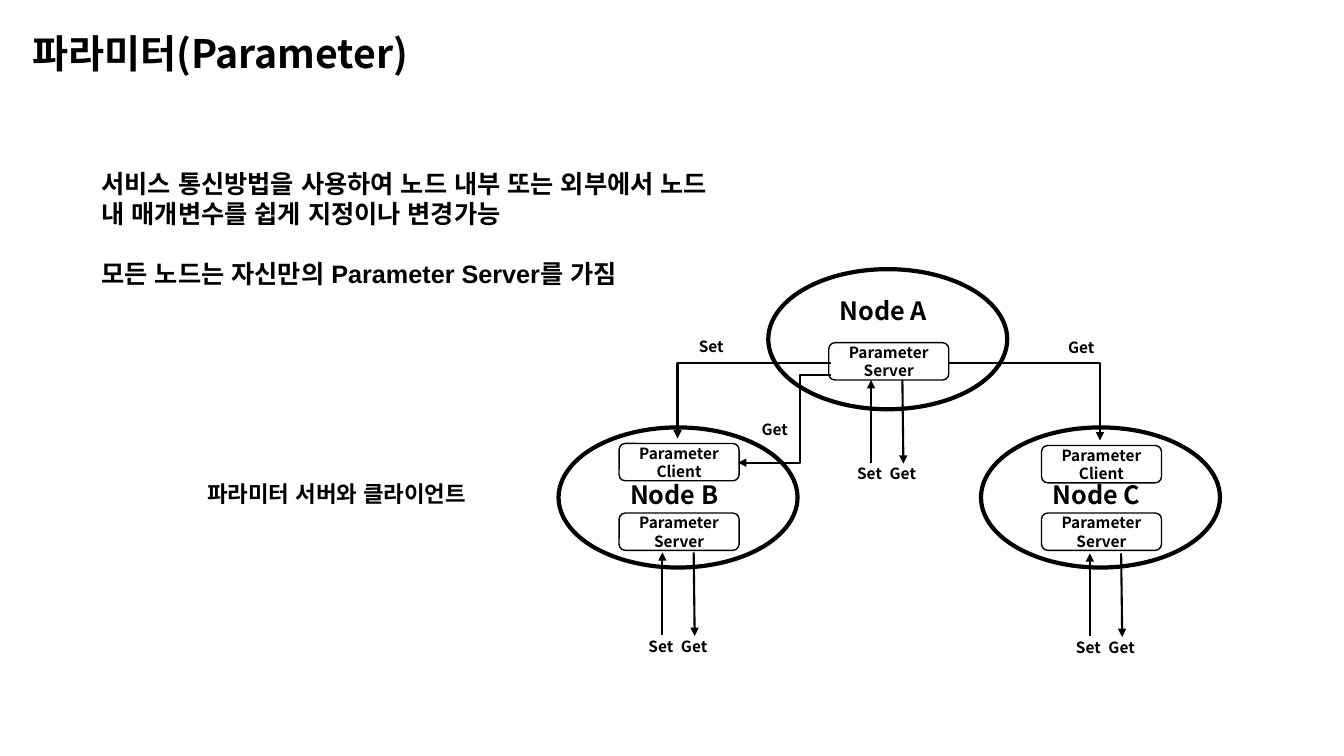
from lxml.etree import SubElement
from pptx import Presentation
from pptx.dml.color import RGBColor
from pptx.enum.shapes import MSO_CONNECTOR, MSO_SHAPE
from pptx.enum.text import MSO_ANCHOR, PP_ALIGN
from pptx.oxml.ns import qn
from pptx.util import Inches, Pt

BLACK = RGBColor(0, 0, 0)
WHITE = RGBColor(255, 255, 255)
SANS = "Noto Sans CJK KR"
ARIAL = "Arial"
NODE_SIZE = (2.37, 1.39)
MODULE_SIZE = (1.19, 0.37)


def set_all(target, values):
    for name, value in values.items():
        setattr(target, name, value)


def write(frame, lines, size, font=SANS, align=PP_ALIGN.LEFT, gap=0):
    for index, line in enumerate(lines):
        para = frame.paragraphs[0] if index == 0 else frame.add_paragraph()
        para.alignment = align
        if index and gap:
            para.space_before = Pt(gap)
        span = para.add_run()
        span.text = line
        set_all(span.font, {"size": Pt(size), "name": font, "bold": True})
        span.font.color.rgb = BLACK
        SubElement(span.font._element, qn("a:ea")).set("typeface", font)


def add_title(page, text):
    title = page.shapes.title
    set_all(title, {"left": Inches(0.22), "top": Inches(0.11),
                    "width": Inches(4.83), "height": Inches(0.89)})
    frame = title.text_frame
    set_all(frame, {"vertical_anchor": MSO_ANCHOR.MIDDLE, "word_wrap": True})
    write(frame, [text], 28)
    frame.paragraphs[0].line_spacing = 0.9


def add_text(page, lines, left, top, width, height, size, **style):
    box = page.shapes.add_textbox(
        Inches(left), Inches(top), Inches(width), Inches(height))
    box.text_frame.word_wrap = True
    write(box.text_frame, lines, size, **style)


def add_label(page, text, left, top):
    add_text(page, [text], left, top, 0.53, 0.29, 11, align=PP_ALIGN.CENTER)


def add_outline(page, kind, left, top, size, weight):
    shape = page.shapes.add_shape(
        kind, Inches(left), Inches(top), *map(Inches, size))
    shape.shadow.inherit = False
    shape.fill.solid()
    shape.fill.fore_color.rgb = WHITE
    shape.line.color.rgb = BLACK
    shape.line.width = Pt(weight)
    return shape


def add_module(page, role, left, top):
    frame = add_outline(
        page, MSO_SHAPE.ROUNDED_RECTANGLE, left, top, MODULE_SIZE, 1).text_frame
    set_all(frame, {"margin_left": 0, "margin_right": 0, "margin_top": 0,
                    "margin_bottom": 0, "word_wrap": True,
                    "vertical_anchor": MSO_ANCHOR.MIDDLE})
    write(frame, ["Parameter", role], 11, align=PP_ALIGN.CENTER)


def add_node(page, name, left, top, name_drop, modules):
    add_outline(page, MSO_SHAPE.OVAL, left, top, NODE_SIZE, 3)
    add_text(page, [name], left + 0.61, top + name_drop, 1.51, 0.4, 18)
    for role, drop in modules:
        add_module(page, role, left + 0.6, top + drop)


def add_arrow(page, start, end, kind=MSO_CONNECTOR.STRAIGHT):
    arrow = page.shapes.add_connector(kind, *map(Inches, start + end))
    arrow.line.color.rgb = BLACK
    arrow.line.width = Pt(1.5)
    SubElement(arrow.line._get_or_add_ln(), qn("a:tailEnd")).set("type", "triangle")
    SubElement(arrow.element.spPr, qn("a:effectLst"))
    return arrow


def add_elbow(page, start, end, bend=None):
    arrow = add_arrow(page, start, end, MSO_CONNECTOR.ELBOW)
    geometry = arrow.element.spPr.find(qn("a:prstGeom"))
    if bend is None:
        geometry.set("prst", "bentConnector2")
        return
    guide = SubElement(geometry.find(qn("a:avLst")), qn("a:gd"))
    guide.set("name", "adj1")
    guide.set("fmla", f"val {round(bend * 100000)}")


def add_access(page, left, top):
    add_arrow(page, (left, top + 0.82), (left, top))
    add_arrow(page, (left + 0.31, top), (left + 0.32, top + 0.83))
    add_label(page, "Set", left - 0.28, top + 0.79)
    add_label(page, "Get", left + 0.05, top + 0.79)


def main():
    deck = Presentation()
    set_all(deck, {"slide_width": Inches(13.33), "slide_height": Inches(7.5)})
    page = deck.slides.add_slide(deck.slide_layouts[5])

    add_title(page, "파라미터(Parameter)")

    add_node(page, "Node C", 9.73, 4.24, 0.47, [("Client", 0.18), ("Server", 0.85)])
    add_node(page, "Node B", 5.54, 4.24, 0.47, [("Client", 0.16), ("Server", 0.85)])
    add_node(page, "Node A", 7.62, 2.67, 0.21, [("Server", 0.73)])

    add_elbow(page, (9.41, 3.6), (10.91, 4.37))
    add_elbow(page, (8.24, 3.6), (6.72, 4.35))
    add_elbow(page, (8.24, 3.72), (7.32, 4.59), bend=0.33)
    for text, left, top in [("Get", 7.42, 4.12), ("Get", 10.46, 3.31),
                            ("Set", 6.79, 3.29)]:
        add_label(page, text, left, top)
    for left, top in [(8.64, 3.77), (6.57, 5.48), (10.81, 5.49)]:
        add_access(page, left, top)

    add_text(page, ["서비스 통신방법을 사용하여 노드 내부 또는 외부에서 노드 내 매개변수를 쉽게 지정이나 변경가능",
                    "모든 노드는 자신만의 Parameter Server를 가짐"],
             0.91, 1.62, 6.26, 1.31, 18, font=ARIAL, gap=21)
    add_text(page, ["파라미터 서버와 클라이언트"], 1.96, 4.71, 3.4, 0.37, 16, font=ARIAL)

    deck.save("out.pptx")


if __name__ == "__main__":
    main()
